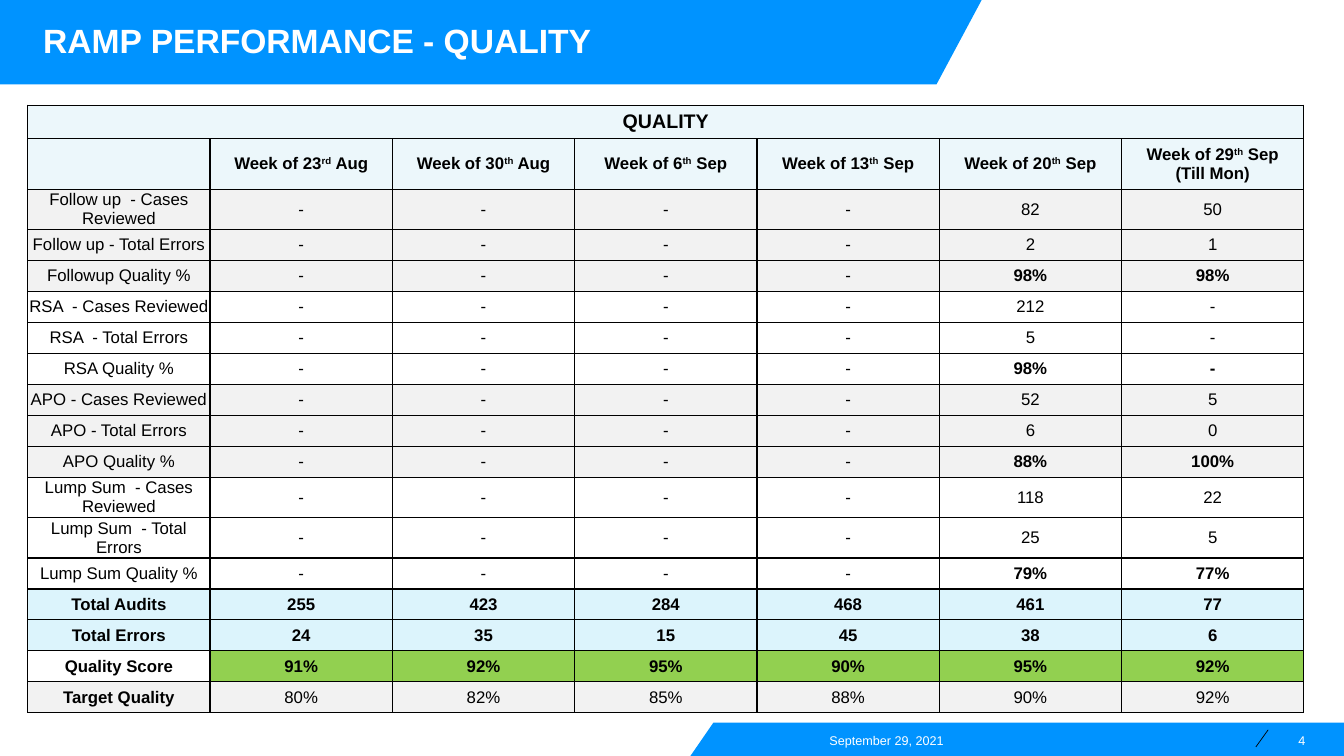
from lxml import etree
from pptx import Presentation
from pptx.dml.color import RGBColor
from pptx.enum.shapes import MSO_CONNECTOR
from pptx.enum.text import MSO_ANCHOR, PP_ALIGN
from pptx.oxml.ns import qn
from pptx.util import Cm, Pt

STRAIGHT = MSO_CONNECTOR.STRAIGHT
MIDDLE = MSO_ANCHOR.MIDDLE
LEFT, CENTER, RIGHT = PP_ALIGN.LEFT, PP_ALIGN.CENTER, PP_ALIGN.RIGHT

FONT = "Arial"
BLACK, WHITE, BLUE = "000000", "FFFFFF", "0093FF"
HEADER, GREY, TOTAL, GREEN = "ECF7FB", "F2F2F2", "DCF4FC", "92D050"
SLIDE_WIDTH, SLIDE_HEIGHT = 33.87, 19.05

WEEKS = [
    [("Week of 23", "rd", " Aug")],
    [("Week of 30", "th", " Aug")],
    [("Week of 6", "th", " Sep")],
    [("Week of 13", "th", " Sep")],
    [("Week of 20", "th", " Sep")],
    [("Week of 29", "th", " Sep"), ("(Till Mon)",)],
]
CASE_ROWS = [
    ("Follow up  - Cases Reviewed", "82", "50"),
    ("Follow up - Total Errors", "2", "1"),
    ("Followup Quality %", "98%", "98%"),
    ("RSA  - Cases Reviewed", "212", "-"),
    ("RSA  - Total Errors", "5", "-"),
    ("RSA Quality %", "98%", "-"),
    ("APO - Cases Reviewed", "52", "5"),
    ("APO - Total Errors", "6", "0"),
    ("APO Quality %", "88%", "100%"),
    ("Lump Sum  - Cases Reviewed", "118", "22"),
    ("Lump Sum  - Total Errors", "25", "5"),
    ("Lump Sum Quality %", "79%", "77%"),
]
SUMMARY_ROWS = [
    (["Total Audits", "255", "423", "284", "468", "461", "77"], TOTAL, TOTAL, True),
    (["Total Errors", "24", "35", "15", "45", "38", "6"], TOTAL, TOTAL, True),
    (["Quality Score", "91%", "92%", "95%", "90%", "95%", "92%"], None, GREEN, True),
    (["Target Quality", "80%", "82%", "85%", "88%", "90%", "92%"], GREY, GREY, False),
]
TITLE_HEIGHT, HEADER_HEIGHT, ROW_HEIGHT, TALL_HEIGHT = 0.81, 1.23, 0.78, 0.98
TALL_LABELS = {CASE_ROWS[index][0] for index in (0, 9, 10)}


def color(value):
    return RGBColor.from_string(value)


def style_paragraph(paragraph, size, value, bold, alignment):
    paragraph.alignment = alignment
    paragraph.font.name = FONT
    paragraph.font.size = Pt(size)
    paragraph.font.bold = bold
    paragraph.font.color.rgb = color(value)


def add_text(slide, box, text, size, bold=False, alignment=LEFT):
    frame = slide.shapes.add_textbox(*map(Cm, box)).text_frame
    frame.word_wrap = True
    frame.vertical_anchor = MIDDLE
    frame.margin_left = frame.margin_right = frame.margin_top = frame.margin_bottom = 0
    frame.text = text
    style_paragraph(frame.paragraphs[0], size, WHITE, bold, alignment)


def add_band(slide, points):
    corners = [(Cm(x), Cm(y)) for x, y in points]
    builder = slide.shapes.build_freeform(*corners[0], scale=1.0)
    builder.add_line_segments(corners[1:], close=True)
    band = builder.convert_to_shape()
    band.shadow.inherit = False
    band.fill.solid()
    band.fill.fore_color.rgb = color(BLUE)
    band.line.fill.background()


def add_banner(slide, left, top, width, height):
    right, bottom = left + width, top + height
    add_band(slide, [(left, top), (right, top), (right - 1.14, bottom), (left, bottom)])
    add_text(slide, (left + 1.09, top + 0.2, 26.75, 1.63),
             "RAMP PERFORMANCE - QUALITY", 24, bold=True)


def add_footer(slide, left, top, width, height):
    right, bottom = left + width, top + height
    add_band(slide, [(left + 0.58, top), (right, top), (right, bottom), (left, bottom)])
    slash = slide.shapes.add_connector(
        STRAIGHT, Cm(right - 1.91), Cm(top + 0.18), Cm(right - 2.22), Cm(top + 0.61))
    slash.line.color.rgb = color(BLACK)
    slash.line.width = Pt(0.5)
    etree.SubElement(slash._element.spPr, qn("a:effectLst"))
    add_text(slide, (left + 0.61, top + 0.26, 5.77, 0.38),
             "September 29, 2021", 9, alignment=RIGHT)
    add_text(slide, (right - 1.91, top + 0.26, 0.94, 0.38), "4", 9, alignment=RIGHT)


def add_borders(cell):
    properties = cell._tc.get_or_add_tcPr()
    for side in ("lnL", "lnR", "lnT", "lnB"):
        line = etree.SubElement(properties, qn(f"a:{side}"), w=str(Pt(1)))
        fill = etree.SubElement(line, qn("a:solidFill"))
        etree.SubElement(fill, qn("a:srgbClr"), val=BLACK)


def fill_cell(cell, lines, fill, bold, size=12, is_label=False):
    add_borders(cell)
    if fill:
        cell.fill.solid()
        cell.fill.fore_color.rgb = color(fill)
    else:
        cell.fill.background()
    cell.vertical_anchor = MIDDLE
    if is_label:
        cell.margin_left = cell.margin_right = cell.margin_top = cell.margin_bottom = 0
    frame = cell.text_frame
    for index, parts in enumerate(lines):
        paragraph = frame.add_paragraph() if index else frame.paragraphs[0]
        style_paragraph(paragraph, size, BLACK, bold, CENTER)
        for position, text in enumerate(parts):
            run = paragraph.add_run()
            run.text = text
            if position == 1:
                run.font._element.set("baseline", "30000")


def table_rows():
    for index, (label, *results) in enumerate(CASE_ROWS):
        fill = None if index // 3 % 2 else GREY
        is_quality = index % 3 == 2
        bolds = [False] * 5 + [is_quality] * 2
        yield [label] + ["-"] * 4 + results, [fill] * 7, bolds
    for texts, label_fill, fill, bold in SUMMARY_ROWS:
        yield texts, [label_fill] + [fill] * 6, [True] + [bold] * 6


def add_quality_table(slide, left, top, width):
    rows = list(table_rows())
    heights = [TITLE_HEIGHT, HEADER_HEIGHT]
    heights += [TALL_HEIGHT if texts[0] in TALL_LABELS else ROW_HEIGHT for texts, _, _ in rows]
    columns = len(WEEKS) + 1
    table = slide.shapes.add_table(
        len(heights), columns, Cm(left), Cm(top), Cm(width), Cm(sum(heights))).table
    table.first_row = table.horz_banding = False
    for column in table.columns:
        column.width = Cm(width / columns)
    for row, height in zip(table.rows, heights):
        row.height = Cm(height)

    table.cell(0, 0).merge(table.cell(0, columns - 1))
    for column, lines in enumerate([[("QUALITY",)]] + [[]] * (columns - 1)):
        fill_cell(table.cell(0, column), lines, HEADER, True, size=14)
    for column, lines in enumerate([[]] + WEEKS):
        fill_cell(table.cell(1, column), lines, HEADER, True)
    for row, values in enumerate(rows, start=2):
        for column, (text, fill, bold) in enumerate(zip(*values)):
            fill_cell(table.cell(row, column), [(text,)], fill, bold, is_label=column == 0)


def main():
    presentation = Presentation()
    presentation.slide_width = Cm(SLIDE_WIDTH)
    presentation.slide_height = Cm(SLIDE_HEIGHT)
    slide = presentation.slides.add_slide(presentation.slide_layouts[6])
    add_footer(slide, 17.4, 18.21, SLIDE_WIDTH - 17.4, SLIDE_HEIGHT - 18.21)
    add_banner(slide, 0, 0, 24.74, 2.13)
    add_quality_table(slide, 0.7, 2.65, 32.16)
    presentation.save("out.pptx")


if __name__ == "__main__":
    main()
